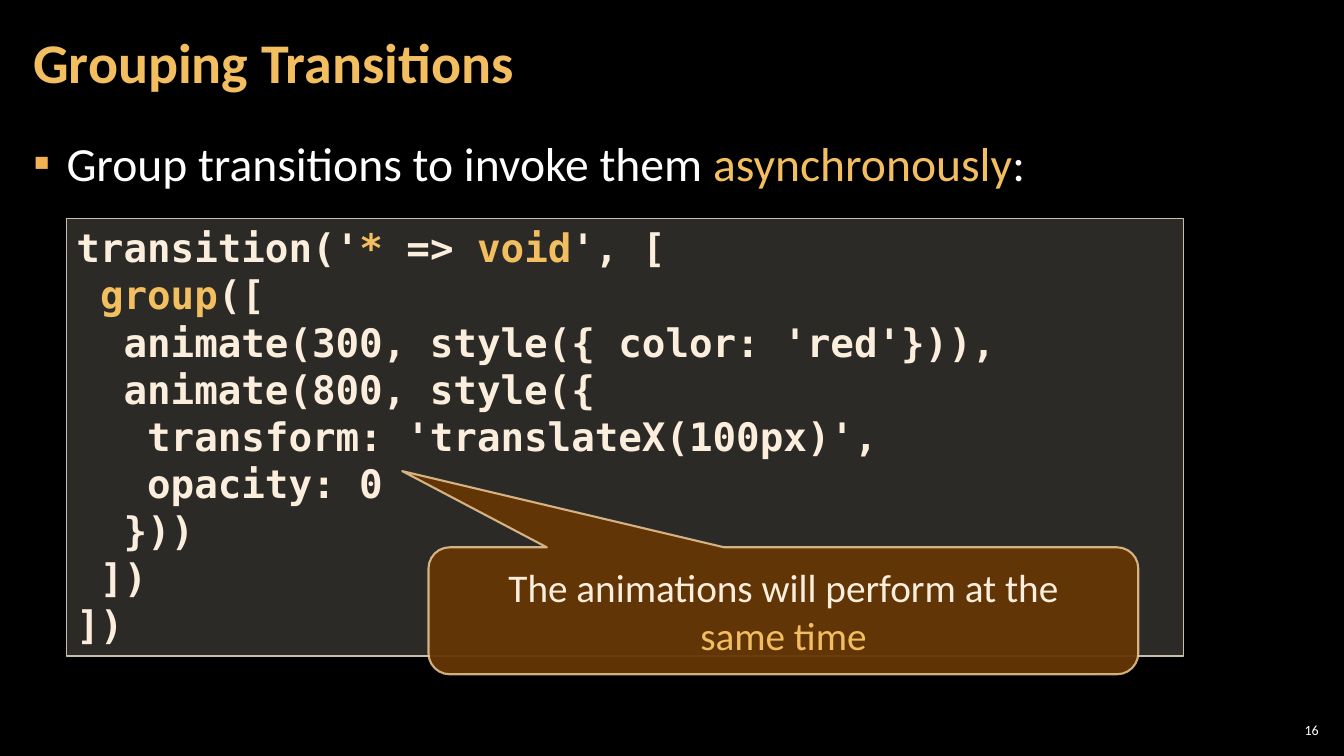
from dataclasses import dataclass

from lxml import etree
from pptx import Presentation
from pptx import util as u
from pptx.dml.color import RGBColor
from pptx.enum import shapes, text
from pptx.oxml import ns


@dataclass(frozen=True)
class Theme:
    """Colours, fonts and type sizes of the slide."""
    back: str = "000000"
    white: str = "FFFFFF"
    cream: str = "FBEEDC"
    accent: str = "F3BE60"
    bullet: str = "F2B254"
    code_fill: str = "D9D5C7"
    code_line: str = "C7BFAC"
    note_fill: str = "663606"
    note_line: str = "F8D49E"
    sans: str = "Calibri"
    mono: str = "DejaVu Sans Mono"
    title: int = 40
    body: int = 34
    code: int = 28
    number: int = 10


def write(tf, content, theme, size, color, font=None, bold=False, align="LEFT",
          anchor="TOP", insets=(0.1, 0.05), spacing=None):
    """Fill a text frame, one paragraph a line, with accent text between bars."""
    tf.word_wrap = True
    tf.vertical_anchor = text.MSO_ANCHOR[anchor]
    tf.margin_left = tf.margin_right = u.Inches(insets[0])
    tf.margin_top = tf.margin_bottom = u.Inches(insets[1])
    for i, line in enumerate(content.split("\n")):
        p = tf.paragraphs[0] if i == 0 else tf.add_paragraph()
        p.alignment = text.PP_ALIGN[align]
        p.line_spacing = spacing
        for j, part in enumerate(line.split("|")):
            r = p.add_run()
            r.text = part
            r.font.name = font or theme.sans
            r.font.size = u.Pt(size)
            r.font.bold = bold
            r.font.color.rgb = RGBColor.from_string(theme.accent if j % 2 else color)


class Deck:
    """Holds the theme and the current slide."""

    def __init__(self, theme):
        """Open a presentation with one blank slide."""
        self.theme = theme
        self.prs = Presentation()
        self.prs.slide_width, self.prs.slide_height = u.Inches(13.33), u.Inches(7.5)
        self.s = self.prs.slides.add_slide(self.prs.slide_layouts[6])
        fill = self.s.background.fill
        fill.solid()
        fill.fore_color.rgb = RGBColor.from_string(theme.back)

    def label(self, box, content, **style):
        """Add a text box."""
        sp = self.s.shapes.add_textbox(*map(u.Inches, box))
        write(sp.text_frame, content, self.theme, **style)
        return sp

    def bullet(self, box, content, **style):
        """Add a text box with a bulleted paragraph."""
        p = self.label(box, content, **style).text_frame.paragraphs[0]
        p.space_before = p.space_after = u.Pt(6)
        pPr = p._p.get_or_add_pPr()
        indent = u.Inches(0.33)
        pPr.set("marL", str(indent))
        pPr.set("indent", str(-indent))
        clr = etree.SubElement(pPr, ns.qn("a:buClr"))
        etree.SubElement(clr, ns.qn("a:srgbClr"), val=self.theme.bullet)
        etree.SubElement(pPr, ns.qn("a:buFont"), typeface=self.theme.sans)
        etree.SubElement(pPr, ns.qn("a:buChar"), char="▪")

    def panel(self, kind, box, content, fill, line, width, adjust=(), **style):
        """Add a shape whose fill and line are (colour, opacity percent) pairs."""
        sp = self.s.shapes.add_shape(shapes.MSO_SHAPE[kind], *map(u.Inches, box))
        sp.shadow.inherit = False
        for i, value in enumerate(adjust):
            sp.adjustments[i] = value
        sp.line.width = u.Pt(width)
        for paint, (color, opacity) in ((sp.fill, fill), (sp.line.fill, line)):
            paint.solid()
            paint.fore_color.rgb = RGBColor.from_string(color)
            clr = paint._xPr.find(ns.qn("a:solidFill"))[0]
            etree.SubElement(clr, ns.qn("a:alpha"), val=str(opacity * 1000))
        write(sp.text_frame, content, self.theme, **style)


CODE = """transition('|*| => |void|', [
 |group|([
  animate(300, style({ color: 'red'})),
  animate(800, style({
   transform: 'translateX(100px)',
   opacity: 0
  }))
 ])
])"""


def main():
    """Build the slide and save it."""
    t = Theme()
    deck = Deck(t)
    deck.label((12.65, 7.14, 0.47, 0.21), "16", size=t.number, color=t.white,
               align="RIGHT", anchor="MIDDLE", insets=(0.04, 0.04))
    deck.bullet((0.21, 1.26, 12.91, 6.09),
                "Group transitions to invoke them |asynchronously|:",
                size=t.body, color=t.white, insets=(0.12, 0.04), spacing=1.05)
    deck.label((0.21, 0.04, 10.47, 1.21), "Grouping Transitions", size=t.title,
               color=t.accent, bold=True, anchor="MIDDLE", insets=(0.12, 0.04),
               spacing=0.9)
    deck.panel("RECTANGLE", (0.66, 2.17, 11.08, 4.34), CODE, (t.code_fill, 20),
               (t.code_line, 100), 1, size=t.code, color=t.cream, font=t.mono,
               bold=True)
    deck.panel("ROUNDED_RECTANGULAR_CALLOUT", (4.25, 5.43, 7.04, 1.26),
               "The animations will perform at the |same time", (t.note_fill, 95),
               (t.note_line, 80), 1.5, adjust=(-0.537, -1.1, 0.167), size=t.code,
               color=t.cream, align="CENTER", anchor="MIDDLE", insets=(0.3, 0.1))
    deck.prs.save("out.pptx")


if __name__ == "__main__":
    main()
